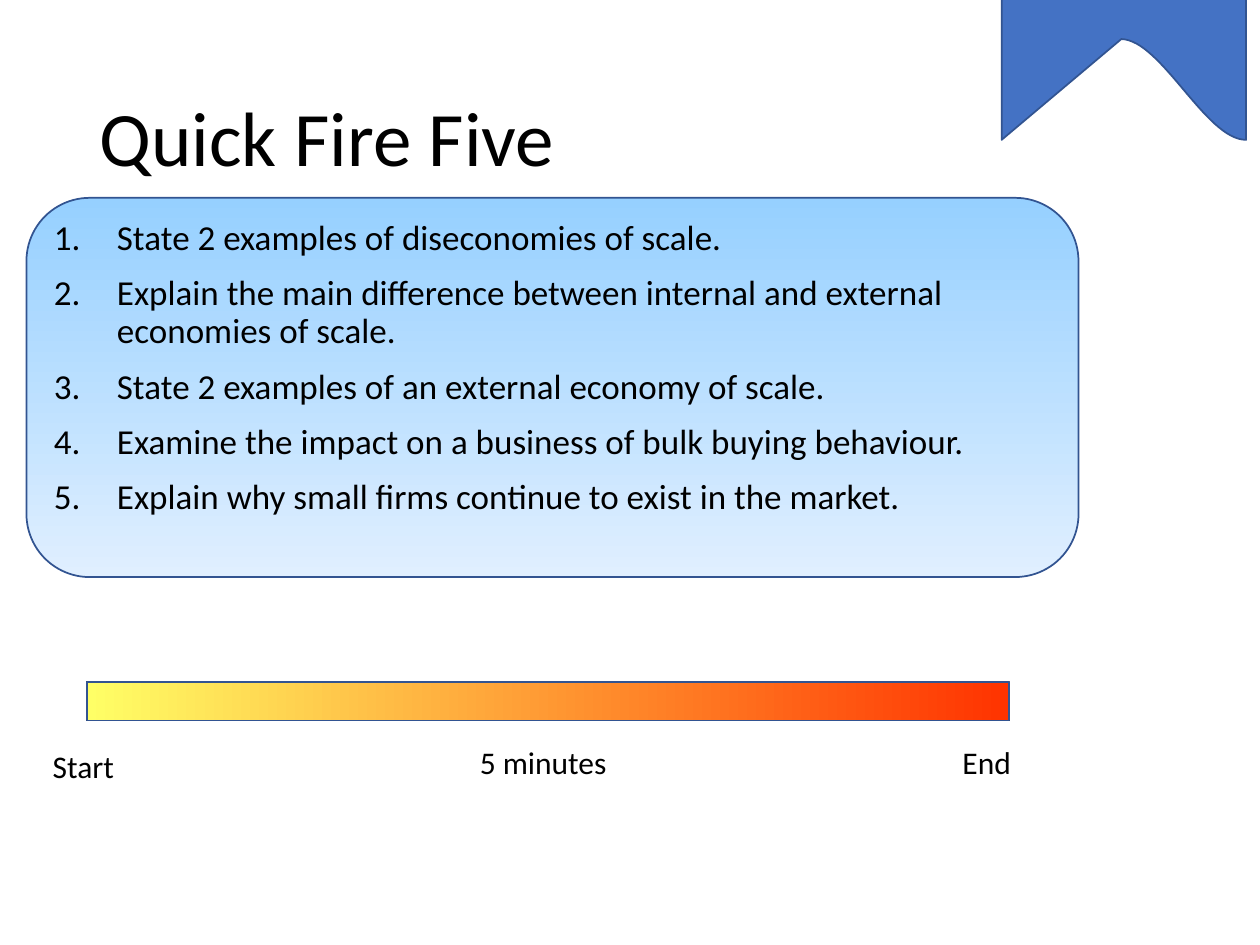
from lxml import etree
from pptx import Presentation
from pptx.dml.color import RGBColor
from pptx.enum.shapes import MSO_SHAPE
from pptx.enum.text import MSO_ANCHOR, PP_ALIGN
from pptx.oxml.ns import qn
from pptx.util import Inches, Pt

RECTANGLE, ROUNDED = MSO_SHAPE.RECTANGLE, MSO_SHAPE.ROUNDED_RECTANGLE
MIDDLE, LEFT = MSO_ANCHOR.MIDDLE, PP_ALIGN.LEFT

BLACK = RGBColor(0x00, 0x00, 0x00)
NAVY = RGBColor(0x32, 0x54, 0x91)
BLUE = RGBColor(0x44, 0x72, 0xC4)
SKY = RGBColor(0x96, 0xD0, 0xFF)
PALE_SKY = RGBColor(0xE0, 0xEF, 0xFF)
YELLOW = RGBColor(0xFF, 0xFF, 0x66)
RED = RGBColor(0xFF, 0x33, 0x00)

QUESTIONS = [
    "State 2 examples of diseconomies of scale.",
    "Explain the main difference between internal and external economies of scale.",
    "State 2 examples of an external economy of scale.",
    "Examine the impact on a business of bulk buying behaviour.",
    "Explain why small firms continue to exist in the market.",
]

deck = Presentation()
deck.slide_width, deck.slide_height = Inches(10), Inches(7.5)
page = deck.slides.add_slide(deck.slide_layouts[5])


def add_gradient_shape(kind, place, colors, angle, line_color):
    """Add a shape filled from the first colour to the second; angle is anticlockwise."""
    shape = page.shapes.add_shape(kind, *map(Inches, place))
    shape.shadow.inherit = False
    shape.fill.gradient()
    shape.fill.gradient_angle = angle
    for stop, position, color in zip(shape.fill.gradient_stops, (0, 1), colors):
        stop.position = position
        stop.color.rgb = color
    shape.line.color.rgb = line_color
    shape.line.width = Pt(1)
    return shape


def format_text(paragraph, size):
    for span in paragraph.runs:
        span.font.name = "Calibri"
        span.font.size = Pt(size)
        span.font.color.rgb = BLACK


# Title
title = page.shapes.title
title.left, title.top, title.width, title.height = map(Inches, (0.69, 0.4, 8.62, 1.45))
title.text_frame.text = "Quick Fire Five"
title.text_frame.vertical_anchor = MIDDLE
heading = title.text_frame.paragraphs[0]
heading.alignment = LEFT
heading.line_spacing = 0.9
format_text(heading, 44)

# Question panel and numbered list
add_gradient_shape(ROUNDED, (0.21, 1.57, 8.35, 3.01), (SKY, PALE_SKY), 270, NAVY)
question_box = page.shapes.add_textbox(*map(Inches, (0.21, 1.7, 8.33, 5.25)))
question_box.text_frame.word_wrap = True
question_box.text_frame.text = "\n".join(QUESTIONS)
for paragraph in question_box.text_frame.paragraphs:
    paragraph.line_spacing = 0.9
    paragraph.space_before = Pt(10)
    format_text(paragraph, 20)
    properties = paragraph._p.get_or_add_pPr()
    properties.set("marL", str(Inches(0.62)))
    properties.set("indent", str(Inches(-0.5)))
    etree.SubElement(properties, qn("a:buFont"), typeface="+mj-lt")
    etree.SubElement(properties, qn("a:buAutoNum"), type="arabicPeriod")

# Timer bar with its frame
bar_place = (0.69, 5.41, 7.32, 0.31)
add_gradient_shape(RECTANGLE, bar_place, (YELLOW, RED), 0, BLACK)
frame = page.shapes.add_shape(RECTANGLE, *map(Inches, bar_place))
frame.shadow.inherit = False
frame.fill.background()
frame.line.color.rgb = NAVY
frame.line.width = Pt(1)

for label, left, top, width in [
    ("End", 7.54, 5.85, 0.94),
    ("Start", 0.32, 5.88, 0.94),
    ("5 minutes", 3.71, 5.85, 1.34),
]:
    label_box = page.shapes.add_textbox(*map(Inches, (left, top, width, 0.4)))
    label_box.text_frame.word_wrap = True
    label_box.text_frame.text = label
    format_text(label_box.text_frame.paragraphs[0], 18)

# Ribbon hanging from above the page, its right tail a cubic curve
ribbon_left, ribbon_right, ribbon_top, ribbon_bottom = 7.95, 9.89, -6.02, 1.11
curve = [(ribbon_right, ribbon_bottom), (9.57, 1.11), (9.22, 0.32), (8.9, 0.31)]
steps = 32
tail = []
for step in range(steps + 1):
    t = step / steps
    weights = ((1 - t) ** 3, 3 * t * (1 - t) ** 2, 3 * t ** 2 * (1 - t), t ** 3)
    tail.append(tuple(sum(w * point[axis] for w, point in zip(weights, curve))
                      for axis in (0, 1)))
outline = [(ribbon_right, ribbon_top), *tail, (ribbon_left, ribbon_bottom)]
builder = page.shapes.build_freeform(
    Inches(ribbon_left), Inches(ribbon_top), scale=1.0)
builder.add_line_segments([(Inches(x), Inches(y)) for x, y in outline], close=True)
ribbon = builder.convert_to_shape()
ribbon.shadow.inherit = False
ribbon.fill.solid()
ribbon.fill.fore_color.rgb = BLUE
ribbon.line.color.rgb = NAVY
ribbon.line.width = Pt(1)

deck.save("out.pptx")
